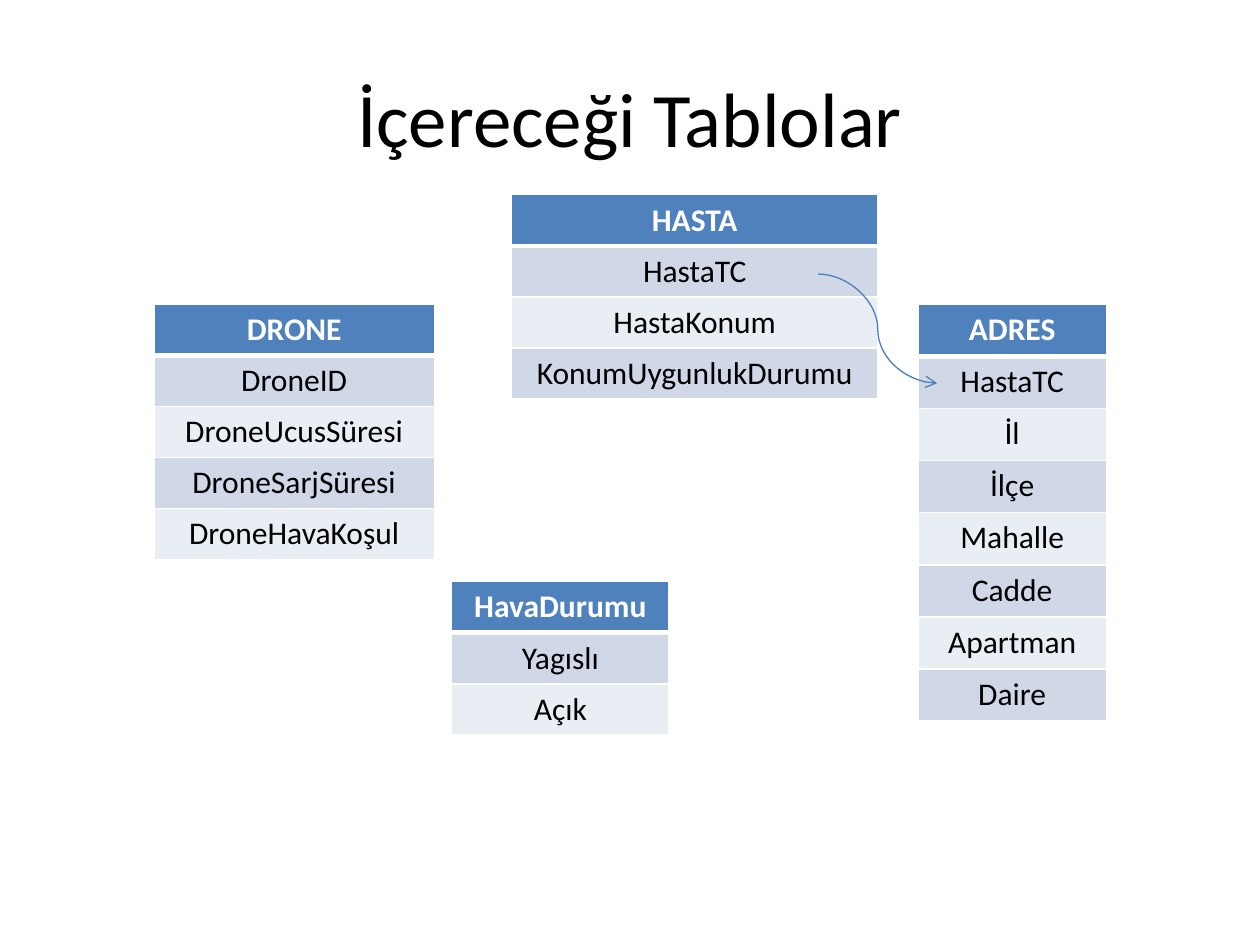
"""Build the slide listing the database tables and the link between two of them."""
from lxml.etree import SubElement
from pptx import Presentation
from pptx.dml.color import RGBColor
from pptx.enum.shapes import MSO_CONNECTOR as Connector
from pptx.enum.text import MSO_ANCHOR as Anchor, PP_ALIGN as Align
from pptx.oxml.ns import qn
from pptx.util import Pt

BLACK = RGBColor(0x00, 0x00, 0x00)
WHITE = RGBColor(0xFF, 0xFF, 0xFF)
HEADER_BLUE = RGBColor(0x4F, 0x81, 0xBD)
BANDS = RGBColor(0xD0, 0xD8, 0xE8), RGBColor(0xE9, 0xED, 0xF4)
LINK_BLUE = RGBColor(0x4B, 0x7E, 0xBC)

HEADING = "İçereceği Tablolar"
HEADING_BOX = 36, 21.6, 648, 90
ENTITIES = [
    {"box": (87.9, 173.8, 160.4), "row": 29.2, "name": "DRONE",
     "fields": ["DroneID", "DroneUcusSüresi", "DroneSarjSüresi", "DroneHavaKoşul"]},
    {"box": (292.4, 111.3, 209.2), "row": 29.2, "name": "HASTA",
     "fields": ["HastaTC", "HastaKonum", "KonumUygunlukDurumu"]},
    {"box": (524.5, 173.8, 107.8), "row": 29.8, "name": "ADRES",
     "fields": ["HastaTC", "İl", "İlçe", "Mahalle", "Cadde", "Apartman", "Daire"]},
    {"box": (258, 332.4, 124.4), "row": 29.2, "name": "HavaDurumu",
     "fields": ["Yagıslı", "Açık"]},
]
LINK = 467.7, 156.6, 535.5, 219

HEADING_FONT = {"name": "Calibri", "size": Pt(44), "bold": False}
HEADER_FONT = {"name": "Calibri", "size": Pt(18), "bold": True}
FIELD_FONT = {**HEADER_FONT, "bold": False}


def write(frame, text, font_format, color):
    paragraph = frame.paragraphs[0]
    paragraph.alignment = Align.CENTER
    run = paragraph.add_run()
    run.text = text
    for attribute, value in font_format.items():
        setattr(run.font, attribute, value)
    run.font.color.rgb = color


def add_borders(cell, widths):
    properties = cell._tc.get_or_add_tcPr()
    for side, width in widths.items():
        border = SubElement(properties, qn(f"a:ln{side}"), w=str(Pt(width)))
        fill = SubElement(border, qn("a:solidFill"))
        SubElement(fill, qn("a:srgbClr"), val=str(WHITE))


def add_entity(slide, entity):
    labels = [entity["name"], *entity["fields"]]
    left, top, width = entity["box"]
    height = entity["row"] * len(labels)
    table = slide.shapes.add_table(
        len(labels), 1, Pt(left), Pt(top), Pt(width), Pt(height)).table
    for index, label in enumerate(labels):
        is_header = index == 0
        table.rows[index].height = Pt(entity["row"])
        cell = table.cell(index, 0)
        add_borders(cell, {"L": 1, "R": 1, "T": 3 if index == 1 else 1,
                           "B": 3 if is_header else 1})
        cell.fill.solid()
        cell.fill.fore_color.rgb = HEADER_BLUE if is_header else BANDS[(index - 1) % 2]
        write(cell.text_frame, label, HEADER_FONT if is_header else FIELD_FONT,
              WHITE if is_header else BLACK)


def add_link(slide):
    link = slide.shapes.add_connector(Connector.CURVE, *map(Pt, LINK))
    link.line.color.rgb = LINK_BLUE
    link.line.width = Pt(0.75)
    SubElement(link.line._get_or_add_ln(), qn("a:tailEnd"), type="arrow")
    SubElement(link._element.spPr, qn("a:effectLst"))


def main():
    presentation = Presentation()
    presentation.slide_width, presentation.slide_height = Pt(720), Pt(540)
    slide = presentation.slides.add_slide(presentation.slide_layouts[6])
    heading = slide.shapes.add_textbox(*map(Pt, HEADING_BOX)).text_frame
    for attribute, value in {"word_wrap": True, "vertical_anchor": Anchor.MIDDLE}.items():
        setattr(heading, attribute, value)
    write(heading, HEADING, HEADING_FONT, BLACK)
    for entity in ENTITIES:
        add_entity(slide, entity)
    add_link(slide)
    presentation.save("out.pptx")


if __name__ == "__main__":
    main()
